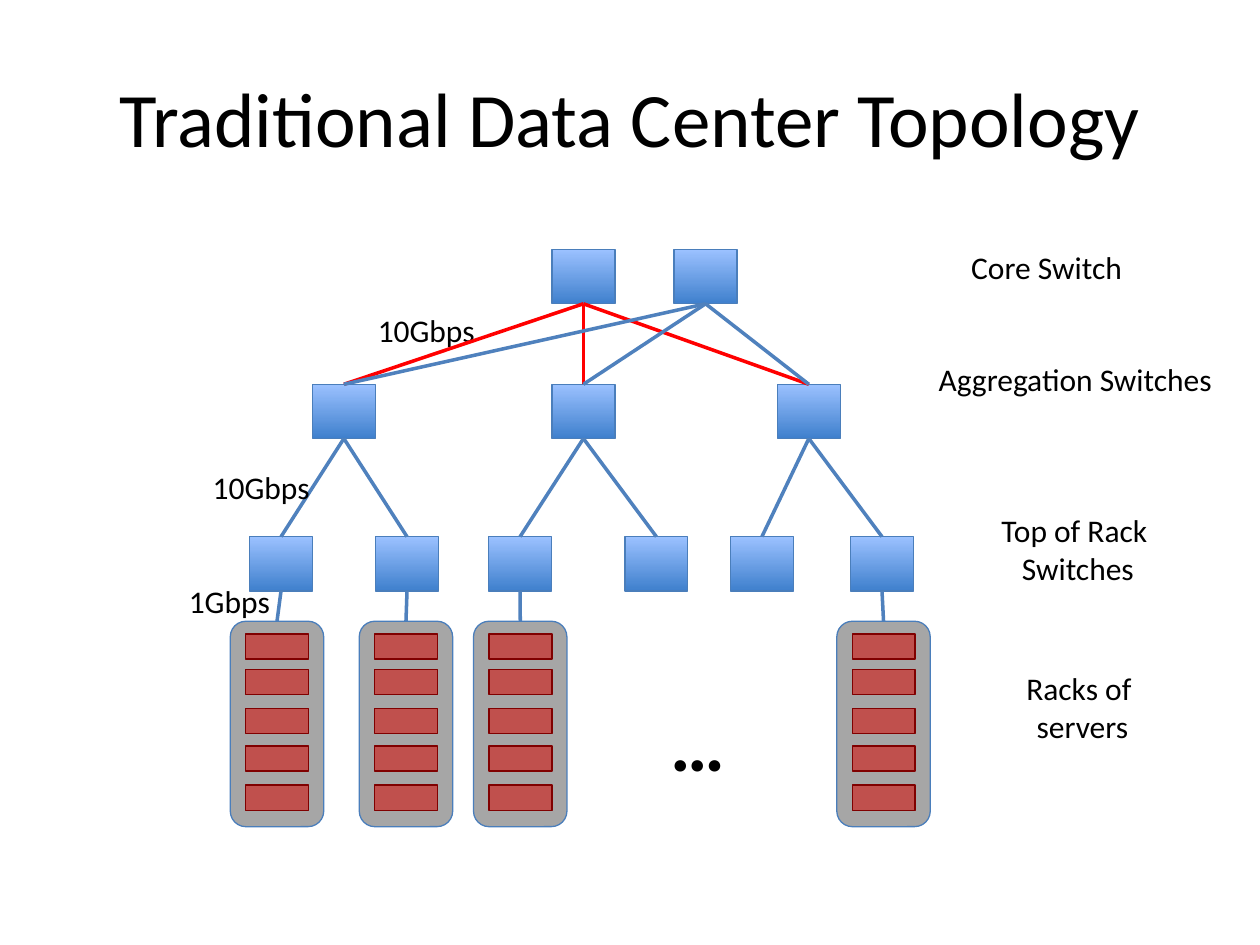
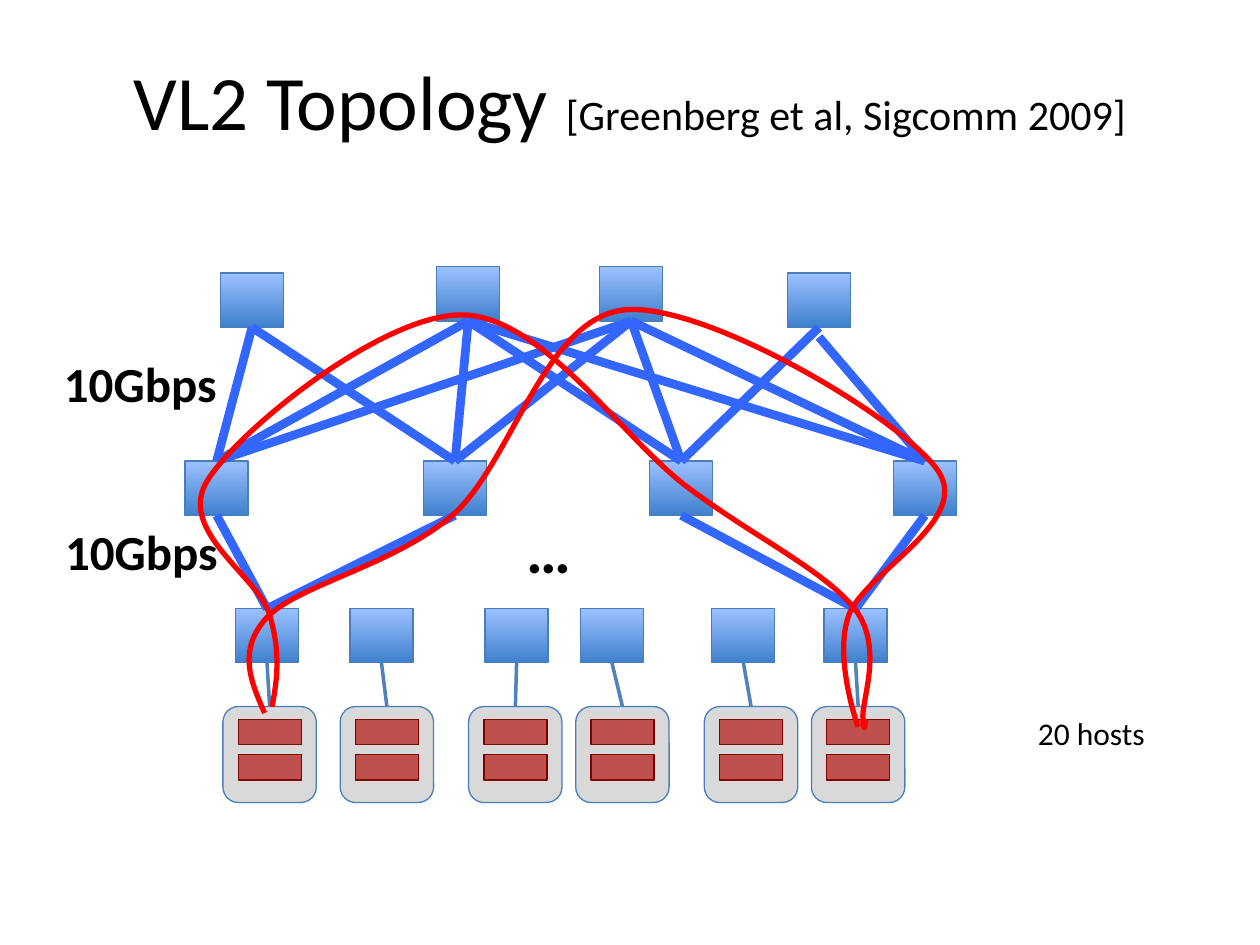
from lxml import etree
from pptx import Presentation
from pptx.dml.color import RGBColor
from pptx.enum.shapes import MSO_CONNECTOR, MSO_SHAPE
from pptx.enum.text import MSO_ANCHOR, MSO_AUTO_SIZE, PP_ALIGN
from pptx.oxml.ns import qn
from pptx.util import Pt

RECT, ROUND = MSO_SHAPE.RECTANGLE, MSO_SHAPE.ROUNDED_RECTANGLE
STRAIGHT = MSO_CONNECTOR.STRAIGHT
LEFT, CENTER = PP_ALIGN.LEFT, PP_ALIGN.CENTER
MIDDLE, GROW = MSO_ANCHOR.MIDDLE, MSO_AUTO_SIZE.SHAPE_TO_FIT_TEXT
TITLE_ONLY = 5
TOP, BOTTOM = 0, 2  # connection sites

# Shared look
FONT = "Calibri"
BLACK, RED, BLUE, BRIGHT = "000000", "FF0000", "4F81BD", "3366FF"
EDGE, LIGHT, DEEP = "4A7EBB", "9BC1FF", "3F80CD"
SERVER, MAROON = "C0504D", "800000"
DARK, PALE = "A6A6A6", "D9D9D9"
NODE = (36, 31)
HOST = (36, 14.4)
RACK_W, INSET = 53.4, 8.8
SLOTS = (7.3, 27.6, 49.7, 71.3, 93.6)
PAGE = (0, 0, 720, 540)


def rgb(code):
    return RGBColor.from_string(code)


def move(box, x, y, w, h):
    """Lengths of a part placed relative to the corner of a box."""
    return Pt(box[0] + x), Pt(box[1] + y), Pt(w), Pt(h)


def ink(line, color, width):
    line.color.rgb = rgb(color)
    line.width = Pt(width)


def write(par, text, size, bold=False):
    run = par.add_run()
    run.text = text
    style = {"name": FONT, "size": Pt(size), "bold": bold}
    for key, value in style.items():
        setattr(run.font, key, value)
    run.font.color.rgb = rgb(BLACK)


def head(slide, box, runs):
    """Title with runs of (text, size)."""
    title = slide.shapes.title
    place = dict(zip(("left", "top", "width", "height"), move(box, 0, 0, *box[2:])))
    for key, value in place.items():
        setattr(title, key, value)
    frame = title.text_frame
    frame.vertical_anchor = MIDDLE
    par = frame.paragraphs[0]
    par.alignment = CENTER
    for text, size in runs:
        write(par, text, size)


def label(slide, box, spot, lines, size=18, bold=False, wrap=False):
    """Caption; the wrapped ones are centred."""
    frame = slide.shapes.add_textbox(*move(box, *spot)).text_frame
    frame.word_wrap = wrap
    frame.auto_size = GROW
    for i, text in enumerate(lines):
        par = frame.add_paragraph() if i else frame.paragraphs[0]
        par.alignment = CENTER if wrap else LEFT
        write(par, text, size, bold)


def block(slide, kind, place, line, fill=None):
    """Outlined shape: solid when a fill is given, else the switch gradient."""
    shape = slide.shapes.add_shape(kind, *place)
    shape.shadow.inherit = False
    ink(shape.line, line, 0.75)
    if fill:
        shape.fill.solid()
        shape.fill.fore_color.rgb = rgb(fill)
    else:
        shape.fill.gradient()
        shape.fill.gradient_angle = 270
        for stop, color in zip(shape.fill.gradient_stops, (LIGHT, DEEP)):
            stop.color.rgb = rgb(color)
    return shape


def tier(slide, box, y, lefts):
    """Row of switches."""
    return [block(slide, RECT, move(box, x, y, *NODE), EDGE) for x in lefts]


def rack(slide, box, fill, count):
    """Rack with a column of servers."""
    case = block(slide, ROUND, move(box, 0, 0, *box[2:]), EDGE, fill)
    for y in SLOTS[:count]:
        block(slide, RECT, move(box, INSET, y, *HOST), MAROON, SERVER)
    return case


def racks(slide, box, lefts, fill, count):
    """Row of racks as tall as the box."""
    return [rack(slide, (box[0] + x, box[1], RACK_W, box[3]), fill, count)
            for x in lefts]


def link(slide, low, high, color=BLUE, width=2, gap=0):
    """Line from the top of one block to the bottom of a higher one."""
    line = slide.shapes.add_connector(
        STRAIGHT, low.left + low.width // 2, low.top,
        high.left + high.width // 2, high.top + high.height + Pt(gap))
    line.begin_connect(low, TOP)
    if not gap:
        line.end_connect(high, BOTTOM)
    ink(line.line, color, width)
    etree.SubElement(line.line._get_or_add_ln().getparent(), qn("a:effectLst"))


def route(slide, box, points):
    """Open Bezier curve: a start, then two controls and an end per segment."""
    spots = [(Pt(box[0] + x), Pt(box[1] + y)) for x, y in points]
    form = slide.shapes.build_freeform(*spots[0])
    form.add_line_segments(spots[1:], close=False)
    shape = form.convert_to_shape()
    shape.shadow.inherit = False
    shape.fill.background()
    ink(shape.line, RED, 3)
    steps = list(shape._element.iter(qn("a:lnTo")))
    for i in range(0, len(steps), 3):
        curve = etree.Element(qn("a:cubicBezTo"))
        steps[i].addprevious(curve)
        for step in steps[i:i + 3]:
            curve.append(step[0])
            step.getparent().remove(step)


def tree(slide, box):
    """Three tiers of switches above the server racks."""
    aggs = tier(slide, box, 77, (78.5, 215.4, 344.2))
    tors = tier(slide, box, 164.1, (42.6, 114.6, 179.2, 257.1, 317.4, 386))
    cores = tier(slide, box, 0, (215.4, 285.2))
    for i, tor in enumerate(tors):
        link(slide, tor, aggs[i // 2])

    row = (box[0], box[1] + 212.4, box[2], 117.4)
    cases = racks(slide, row, (31.6, 105.3, 170.6, 378.2), DARK, len(SLOTS))
    for case, tor in zip(cases, tors[:3] + tors[-1:]):
        link(slide, case, tor)

    # Captions
    label(slide, box, (275.8, 250.5, 46, 60), ["…"], 44, True)
    for spot, lines in (
            ((432.8, 236.1, 171.4, 64.8), ["Racks of ", "servers"]),
            ((406.9, 146.1, 218.2, 64.8), ["Top of Rack ", "Switches"]),
            ((427, 59.7, 175, 64.8), ["Aggregation Switches"])):
        label(slide, box, spot, lines, wrap=True)
    for spot, text in (
            ((447.9, -4.4, 130.3, 36), "Core Switch"),
            ((0.8, 186.4, 61.2, 28.8), "1Gbps"),
            ((14.5, 121.6, 69.8, 28.8), "10Gbps"),
            ((108.8, 31.6, 69.8, 28.8), "10Gbps")):
        label(slide, box, spot, [text])

    # Core links lie over the captions
    for core, color in zip(cores, (RED, BLUE)):
        for agg in aggs:
            link(slide, agg, core, color)


def mesh(slide, box):
    """Core and aggregation mesh above small racks."""
    tors = tier(slide, box, 195.3, (34.6, 100, 177.2, 231.7, 306.8, 370.9))
    aggs = tier(slide, box, 111, (5.8, 142, 271.3, 410.5))
    inner = tier(slide, box, 0, (149.6, 242.7))
    first, last = tier(slide, box, 3.6, (26, 350))

    row = (box[0], box[1] + 251.2, box[2], 54.9)
    cases = racks(slide, row, (27.4, 94.4, 167.8, 229, 302.5, 363.7), PALE, 2)
    for case, tor in zip(cases, tors):
        link(slide, case, tor)

    # Captions
    for spot, text, size, bold in (
            ((-70.5, 46.2, 103, 41), "10Gbps", 28, True),
            ((-69.8, 142, 103, 41), "10Gbps", 28, True),
            ((193.8, 135.5, 51.1, 51.1), "…", 36, True),
            ((486, 252.1, 105.8, 36.7), "20 hosts", 18, False)):
        label(slide, box, spot, [text], size, bold)

    # Thick links
    pairs = [(agg, core) for core in inner for agg in aggs]
    pairs += [(agg, first) for agg in aggs[:2]] + [(aggs[2], last)]
    pairs += [(tors[0], agg) for agg in aggs[:2]]
    pairs += [(tors[-1], agg) for agg in aggs[2:]]
    for low, high in pairs:
        link(slide, low, high, BRIGHT, 5)
    link(slide, aggs[3], last, BRIGHT, 5, gap=5.5)


FLOWS = (
    [(155.5, 403.9),
     (158.4, 388.8), (160.6, 373), (154.1, 351.4),
     (148.3, 329.8), (100.1, 303.1), (118.8, 274.3),
     (136.8, 245.5), (218.9, 179.3), (264.2, 180),
     (310.3, 180.7), (355.7, 250.6), (393.1, 278.6),
     (430.6, 306.7), (471.6, 326.2), (488.9, 348.5),
     (505.4, 370.8), (491.8, 401), (493.2, 411.1),
     (493.9, 421.9), (494.6, 411.1), (494.6, 411.1)],
    [(151.2, 407.5),
     (143.3, 389.5), (135.4, 371.5), (152.6, 352.8),
     (170.6, 334.1), (224.6, 323.3), (258.5, 294.5),
     (292.3, 265), (311, 181.4), (357.1, 177.1),
     (403.2, 172.8), (514.8, 239), (535.7, 268.6),
     (556.6, 298.1), (491.8, 328.3), (484.6, 352.8),
     (476.6, 377.3), (490.3, 415.4), (490.3, 415.4)],
)


def main():
    deck = Presentation()
    deck.slide_width, deck.slide_height = Pt(PAGE[2]), Pt(PAGE[3])
    layout = deck.slide_layouts[TITLE_ONLY]

    # Traditional tree
    slide = deck.slides.add_slide(layout)
    head(slide, (36, 21.6, 648, 90), [("Traditional Data Center Topology", 44)])
    tree(slide, (100, 142.6, 620, 330))

    # VL2 mesh with two flows
    slide = deck.slides.add_slide(layout)
    head(slide, (26, 18, 668, 78.5),
         [("VL2 Topology ", 44), ("[Greenberg et al, Sigcomm 2009]", 24)])
    mesh(slide, (100, 152.5, 592, 306))
    for points in FLOWS:
        route(slide, PAGE, points)

    deck.save("out.pptx")


if __name__ == "__main__":
    main()
